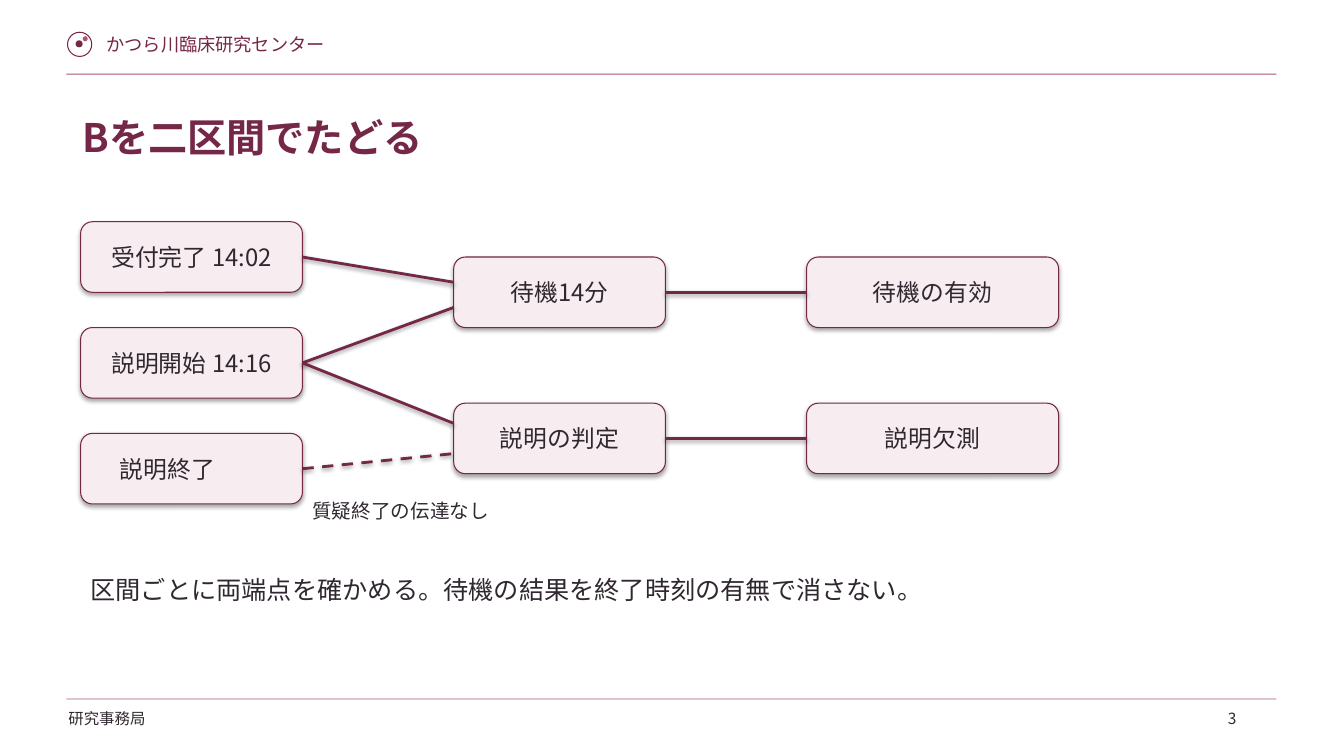
from lxml import etree
from pptx import Presentation
from pptx.dml.color import RGBColor
from pptx.enum.dml import MSO_LINE
from pptx.enum.shapes import MSO_CONNECTOR, MSO_SHAPE as SHAPE
from pptx.enum.text import MSO_ANCHOR, PP_ALIGN
from pptx.oxml.ns import qn
from pptx.util import Pt

PX = 9144
FONT = "Noto Sans CJK JP"
COLORS = {"wine": "742747", "rose": "AB586C", "pale": "F7EDF1", "ink": "302830"}

TEXTS = [
    ("かつら川臨床研究センター", (96, 28, 330, 35), 13, "wine", False),
    ("研究事務局", (58, 699, 180, 36), 11, "ink", False),
    ("Bを二区間でたどる", (72, 107, 1190, 81), 28, "wine", True),
    ("3", (1208, 699, 45, 25), 11, "ink", False),
    ("質疑終了の伝達なし", (300, 490, 300, 40), 14, "ink", False),
    ("区間ごとに両端点を確かめる。待機の結果を終了時刻の有無で消さない。",
     (80, 565, 1140, 65), 18, "ink", False),
]

DECOR = [
    (SHAPE.OVAL, (67, 32, 24, 24), None, "wine"),
    (SHAPE.OVAL, (75, 40, 7, 7), "wine", None),
    (SHAPE.OVAL, (82, 36, 5, 5), "rose", None),
    (SHAPE.RECTANGLE, (66, 73, 1200, 1), "rose", None),
    (SHAPE.RECTANGLE, (66, 693, 1200, 1), "rose", None),
]

NODE_H = 70
COLUMNS = [
    (80, 220, 220, 105, ["受付完了 14:02", "説明開始 14:16", "説明終了"]),
    (450, 210, 255, 145, ["待機14分", "説明の判定"]),
    (800, 250, 255, 145, ["待機の有効", "説明欠測"]),
]
MISSING_TIME = "説明終了"
MISSING_INSET = 57

LINKS = [
    ("受付完了 14:02", "待機14分", -10, False),
    ("説明開始 14:16", "待機14分", 15, False),
    ("待機14分", "待機の有効", 0, False),
    ("説明開始 14:16", "説明の判定", -15, False),
    ("説明の判定", "説明欠測", 0, False),
    ("説明終了", "説明の判定", 15, True),
]


def emu(*lengths):
    return [n * PX for n in lengths]


def rgb(name):
    return RGBColor.from_string(COLORS[name])


def write(tf, text, size, color, bold=False):
    tf.word_wrap = True
    tf.text = text
    r = tf.paragraphs[0].runs[0]
    r.font.size = Pt(size)
    r.font.bold = bold
    r.font.color.rgb = rgb(color)
    r.font.name = FONT
    etree.SubElement(r.font._element, qn("a:ea"), typeface=FONT)


def add_shape(slide, kind, box, fill, line):
    sp = slide.shapes.add_shape(kind, *emu(*box))
    if fill:
        sp.fill.solid()
        sp.fill.fore_color.rgb = rgb(fill)
    else:
        sp.fill.background()
    if line:
        sp.line.color.rgb = rgb(line)
        sp.line.width = Pt(0.75)
    else:
        sp.line.fill.background()
    return sp


def add_node(slide, text, box):
    sp = add_shape(slide, SHAPE.ROUNDED_RECTANGLE, box, "pale", "wine")
    tf = sp.text_frame
    write(tf, text, 17, "ink")
    tf.vertical_anchor = MSO_ANCHOR.MIDDLE
    tf.paragraphs[0].alignment = PP_ALIGN.CENTER
    if text == MISSING_TIME:
        tf.margin_right = MISSING_INSET * PX


def add_link(slide, start, end, shift, dashed):
    x1, y1, w1, h1 = start
    x2, y2, w2, h2 = end
    points = emu(x1 + w1, y1 + h1 // 2, x2, y2 + h2 // 2 + shift)
    link = slide.shapes.add_connector(MSO_CONNECTOR.STRAIGHT, *points)
    link.line.color.rgb = rgb("wine")
    link.line.width = Pt(2)
    if dashed:
        link.line.dash_style = MSO_LINE.DASH


def main():
    prs = Presentation()
    prs.slide_width, prs.slide_height = emu(1333, 750)
    slide = prs.slides.add_slide(prs.slide_layouts[6])

    for kind, box, fill, line in DECOR:
        add_shape(slide, kind, box, fill, line).shadow.inherit = False

    nodes = {}
    for x, w, top, step, labels in COLUMNS:
        for i, label in enumerate(labels):
            nodes[label] = (x, top + i * step, w, NODE_H)
            add_node(slide, label, nodes[label])

    for start, end, shift, dashed in LINKS:
        add_link(slide, nodes[start], nodes[end], shift, dashed)

    for text, box, size, color, bold in TEXTS:
        tb = slide.shapes.add_textbox(*emu(*box))
        write(tb.text_frame, text, size, color, bold)

    prs.save("out.pptx")


if __name__ == "__main__":
    main()
